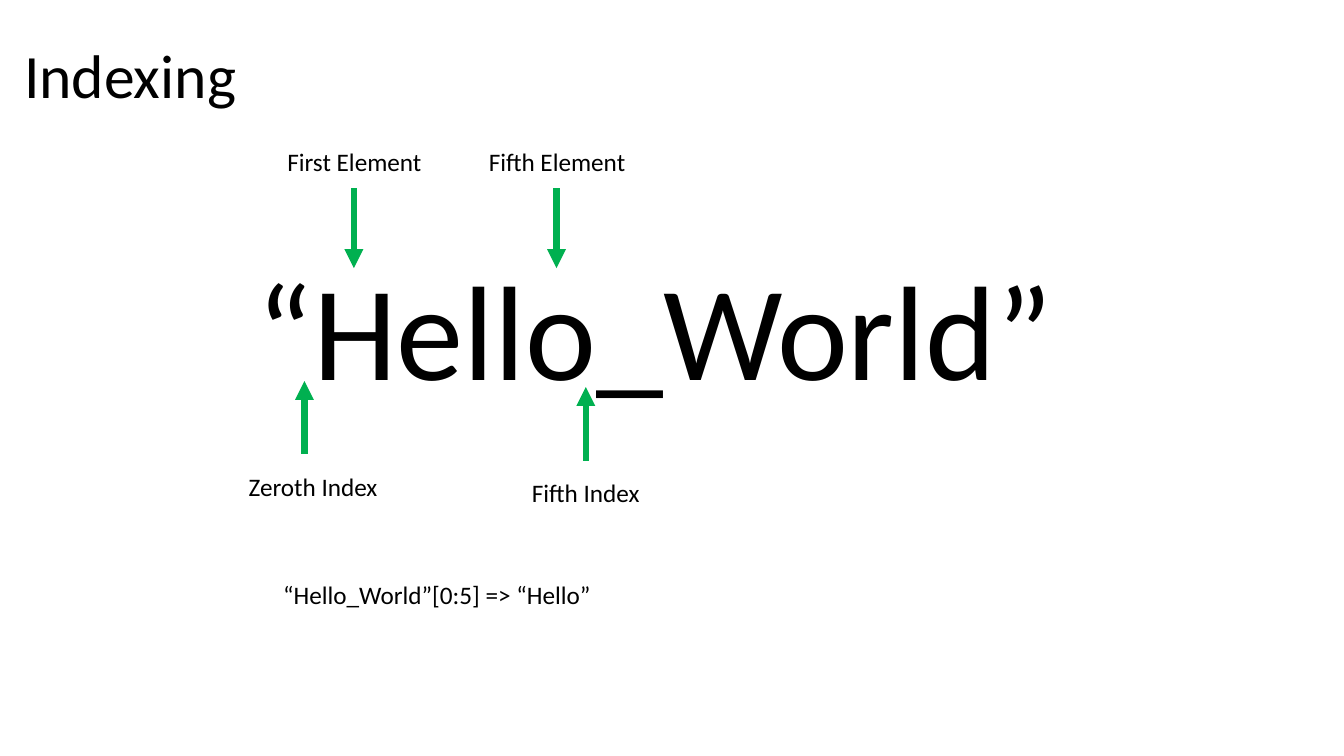
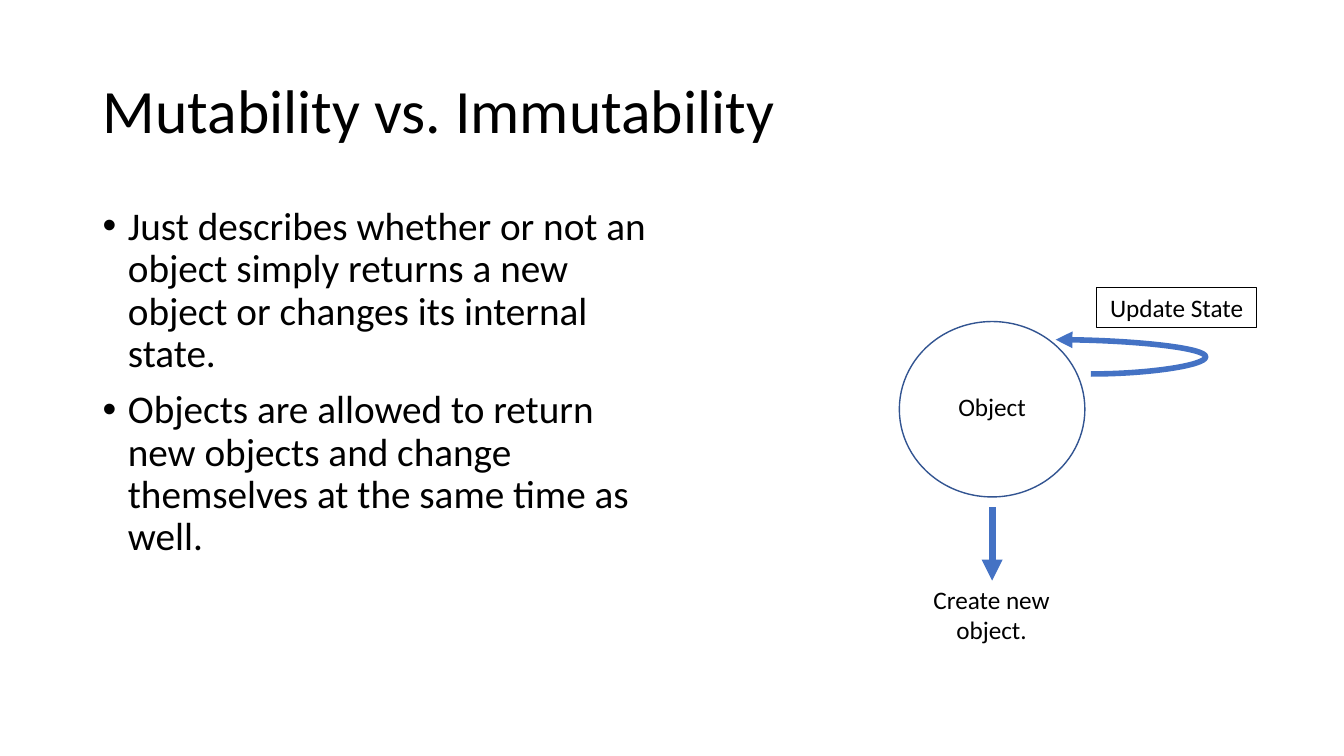
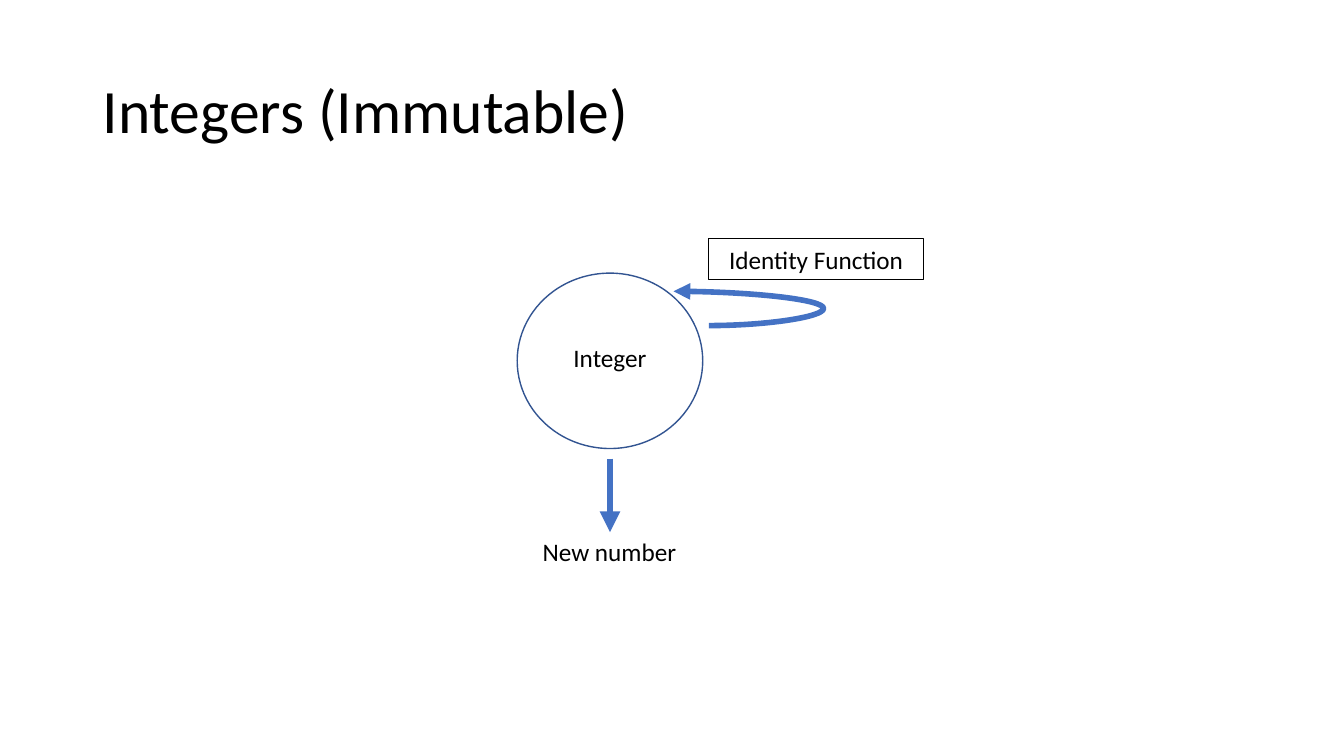
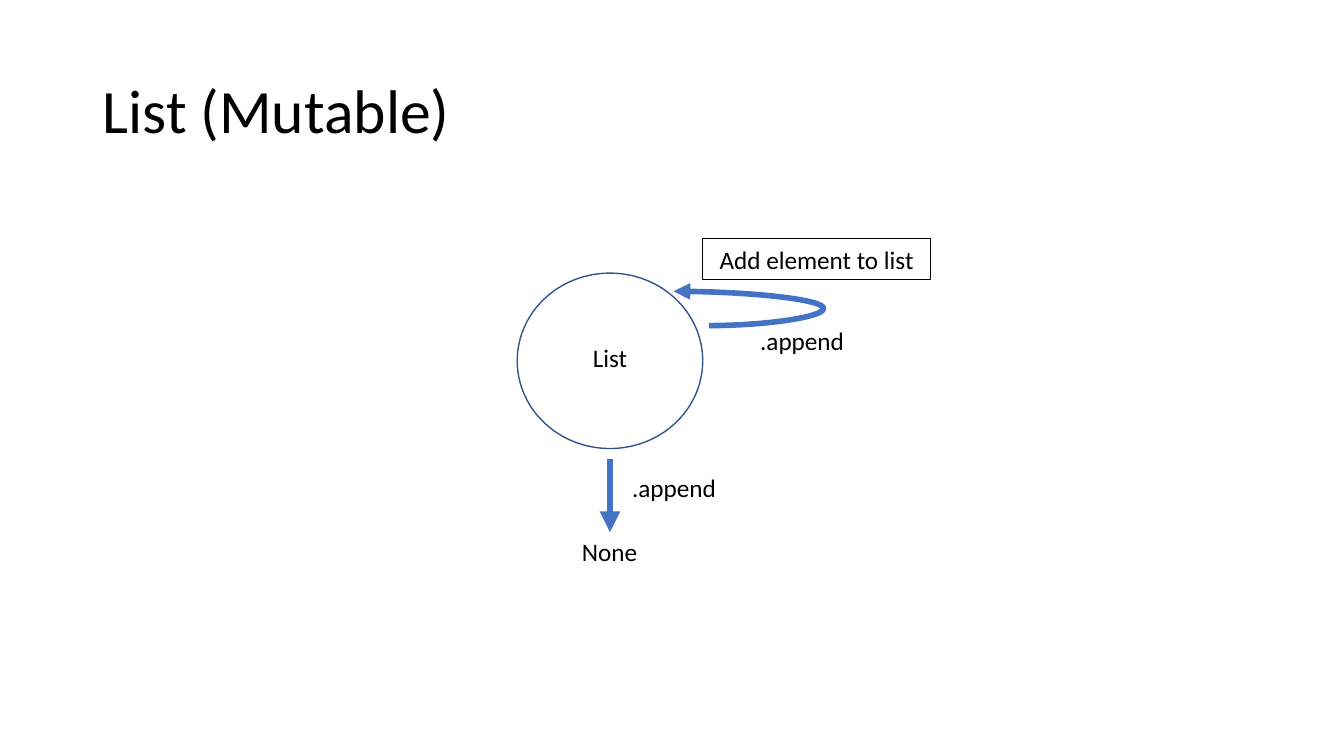
"""Build a four-slide lesson on indexing and mutability."""
from dataclasses import dataclass

import lxml.etree
import pptx
import pptx.dml.color
import pptx.enum.shapes
import pptx.enum.text
import pptx.oxml.ns
import pptx.shapes.autoshape
import pptx.shapes.connector
import pptx.slide
import pptx.text.text
import pptx.util

Inches = pptx.util.Inches
Align = pptx.enum.text.PP_ALIGN
Connector = pptx.enum.shapes.MSO_CONNECTOR

FONT = "Calibri"
COLORS = {
    "text": "000000",
    "paper": "FFFFFF",
    "index": "00B050",
    "flow": "4472C4",
    "outline": "325491",
}
LABEL_HEIGHT = 0.4


@dataclass(frozen=True)
class Label:
    """Text with its place in inches."""

    text: str
    left: float
    top: float
    width: float
    height: float = LABEL_HEIGHT
    size: int = 18
    align: Align = Align.CENTER


@dataclass(frozen=True)
class Arrow:
    """A vertical arrow at x that points from start to end."""

    x: float
    start: float
    end: float


@dataclass(frozen=True)
class ObjectDiagram:
    """A circled object that returns a result and loops to itself."""

    left: float
    top: float
    name: str
    result: str
    loop: str
    loop_left: float
    loop_width: float


def color(name: str) -> pptx.dml.color.RGBColor:
    """Look up a named colour."""
    return pptx.dml.color.RGBColor.from_string(COLORS[name])


def style_paragraph(para: pptx.text.text._Paragraph, size: int, align: Align) -> None:
    """Set the font and alignment of a paragraph."""
    para.alignment = align
    para.font.name = FONT
    para.font.size = pptx.util.Pt(size)
    para.font.color.rgb = color("text")


def add_label(page: pptx.slide.Slide, label: Label) -> pptx.shapes.autoshape.Shape:
    """Draw one line or block of text."""
    box = page.shapes.add_textbox(
        Inches(label.left), Inches(label.top), Inches(label.width), Inches(label.height)
    )
    box.text_frame.word_wrap = True
    para = box.text_frame.paragraphs[0]
    para.text = label.text
    style_paragraph(para, label.size, label.align)
    return box


def add_page(
    deck: pptx.presentation.Presentation, title: str, left: float = 0.92, top: float = 0.4
) -> pptx.slide.Slide:
    """Add a blank page with a title."""
    page = deck.slides.add_slide(deck.slide_layouts[6])
    box = add_label(page, Label(title, left, top, 11.5, 1.45, 44, Align.LEFT))
    box.text_frame.vertical_anchor = pptx.enum.text.MSO_ANCHOR.MIDDLE
    box.text_frame.paragraphs[0].line_spacing = 0.9
    return page


def add_bullets(page: pptx.slide.Slide, items: list[str]) -> None:
    """Draw the bulleted body text."""
    box = page.shapes.add_textbox(Inches(0.92), Inches(2), Inches(5.65), Inches(4.76))
    frame = box.text_frame
    frame.word_wrap = True
    for number, item in enumerate(items):
        para = frame.add_paragraph() if number else frame.paragraphs[0]
        para.text = item
        properties = para._p.get_or_add_pPr()
        properties.set("marL", str(Inches(0.25)))
        properties.set("indent", str(-Inches(0.25)))
        for tag, key, value in (("buFont", "typeface", "Arial"), ("buChar", "char", "•")):
            lxml.etree.SubElement(properties, pptx.oxml.ns.qn(f"a:{tag}")).set(key, value)
        para.line_spacing = 0.9
        para.space_before = pptx.util.Pt(10)
        style_paragraph(para, 28, Align.LEFT)


def style_arrow(line: pptx.shapes.connector.Connector, color_name: str, width: float) -> None:
    """Set the stroke and arrowhead of a connector."""
    line.line.color.rgb = color(color_name)
    line.line.width = pptx.util.Pt(width)
    stroke = line.line._get_or_add_ln()
    lxml.etree.SubElement(stroke, pptx.oxml.ns.qn("a:tailEnd")).set("type", "triangle")
    lxml.etree.SubElement(line._element.spPr, pptx.oxml.ns.qn("a:effectLst"))


def add_arrow(page: pptx.slide.Slide, arrow: Arrow, color_name: str, width: float) -> None:
    """Draw a vertical arrow."""
    line = page.shapes.add_connector(
        Connector.STRAIGHT,
        Inches(arrow.x), Inches(arrow.start), Inches(arrow.x), Inches(arrow.end),
    )
    style_arrow(line, color_name, width)


def add_loop(page: pptx.slide.Slide, left: float, top: float) -> None:
    """Draw the curved arrow that bulges right and returns to its object."""
    line = page.shapes.add_connector(
        Connector.CURVE,
        Inches(left), Inches(top), Inches(left + 0.35), Inches(top + 0.34),
    )
    properties = line._element.spPr
    properties.find(pptx.oxml.ns.qn("a:xfrm")).set("rot", str(180 * 60000))
    geometry = properties.find(pptx.oxml.ns.qn("a:prstGeom"))
    guides = geometry.find(pptx.oxml.ns.qn("a:avLst"))
    if guides is None:
        guides = lxml.etree.SubElement(geometry, pptx.oxml.ns.qn("a:avLst"))
    guide = lxml.etree.SubElement(guides, pptx.oxml.ns.qn("a:gd"))
    guide.set("name", "adj1")
    guide.set("fmla", "val -325200")
    style_arrow(line, "flow", 4)


def add_diagram(page: pptx.slide.Slide, diagram: ObjectDiagram) -> None:
    """Draw an object with its result and its loop."""
    left, top = diagram.left, diagram.top
    circle = page.shapes.add_shape(
        pptx.enum.shapes.MSO_SHAPE.OVAL,
        Inches(left), Inches(top), Inches(1.84), Inches(1.74),
    )
    circle.shadow.inherit = False
    circle.fill.solid()
    circle.fill.fore_color.rgb = color("paper")
    circle.line.color.rgb = color("outline")
    circle.line.width = pptx.util.Pt(1)
    add_label(page, Label(diagram.name, left - 0.06, top + 0.64, 1.96))
    add_arrow(page, Arrow(left + 0.92, top + 1.84, top + 2.57), "flow", 5)
    add_label(page, Label(diagram.result, left + 0.05, top + 2.56, 1.73))
    add_loop(page, left + 1.55, top + 0.18)
    box = add_label(page, Label(diagram.loop, diagram.loop_left, top - 0.34, diagram.loop_width))
    box.line.color.rgb = color("text")
    box.line.width = pptx.util.Pt(0.75)


def build_indexing(deck: pptx.presentation.Presentation) -> None:
    """Build the indexing page."""
    page = add_page(deck, "Indexing", 0.14, 0.05)
    for label in (
        Label("“Hello_World”", 1.83, 2.39, 9.33, 1.72, 96),
        Label("First Element", 2.69, 1.4, 1.65),
        Label("Fifth Element", 4.7, 1.4, 1.65),
        Label("Zeroth Index", 2.35, 4.63, 1.51),
        Label("Fifth Index", 5.01, 4.69, 1.6),
        Label("“Hello_World”[0:5] => “Hello”", 2.71, 5.7, 3.34, align=Align.LEFT),
    ):
        add_label(page, label)
    for arrow in (
        Arrow(3.51, 1.87, 2.66),
        Arrow(5.52, 1.87, 2.66),
        Arrow(3.02, 4.5, 3.78),
        Arrow(5.81, 4.57, 3.84),
    ):
        add_arrow(page, arrow, "index", 4.5)


def build_mutability(deck: pptx.presentation.Presentation) -> None:
    """Build the page that compares mutability and immutability."""
    page = add_page(deck, "Mutability vs. Immutability")
    add_bullets(page, [
        "Just describes whether or not an object simply returns a new object "
        "or changes its internal state.",
        "Objects are allowed to return new objects and change themselves "
        "at the same time as well.",
    ])
    add_diagram(page, ObjectDiagram(
        8.92, 3.19, "Object", "Create new object.", "Update State", 10.88, 1.58))


def build_integers(deck: pptx.presentation.Presentation) -> None:
    """Build the integer page."""
    page = add_page(deck, "Integers (Immutable)")
    add_diagram(page, ObjectDiagram(
        5.13, 2.71, "Integer", "New number", "Identity Function", 7.03, 2.13))


def build_list(deck: pptx.presentation.Presentation) -> None:
    """Build the list page."""
    page = add_page(deck, "List (Mutable)")
    add_diagram(page, ObjectDiagram(
        5.13, 2.71, "List", "None", "Add element to list", 6.97, 2.26))
    for left, top in ((7.09, 3.18), (5.82, 4.64)):
        add_label(page, Label(".append", left, top, 1.73))


def main() -> None:
    """Build and save the deck."""
    deck = pptx.Presentation()
    deck.slide_width = Inches(13.33)
    deck.slide_height = Inches(7.5)
    for build in (build_indexing, build_mutability, build_integers, build_list):
        build(deck)
    deck.save("out.pptx")


main()
